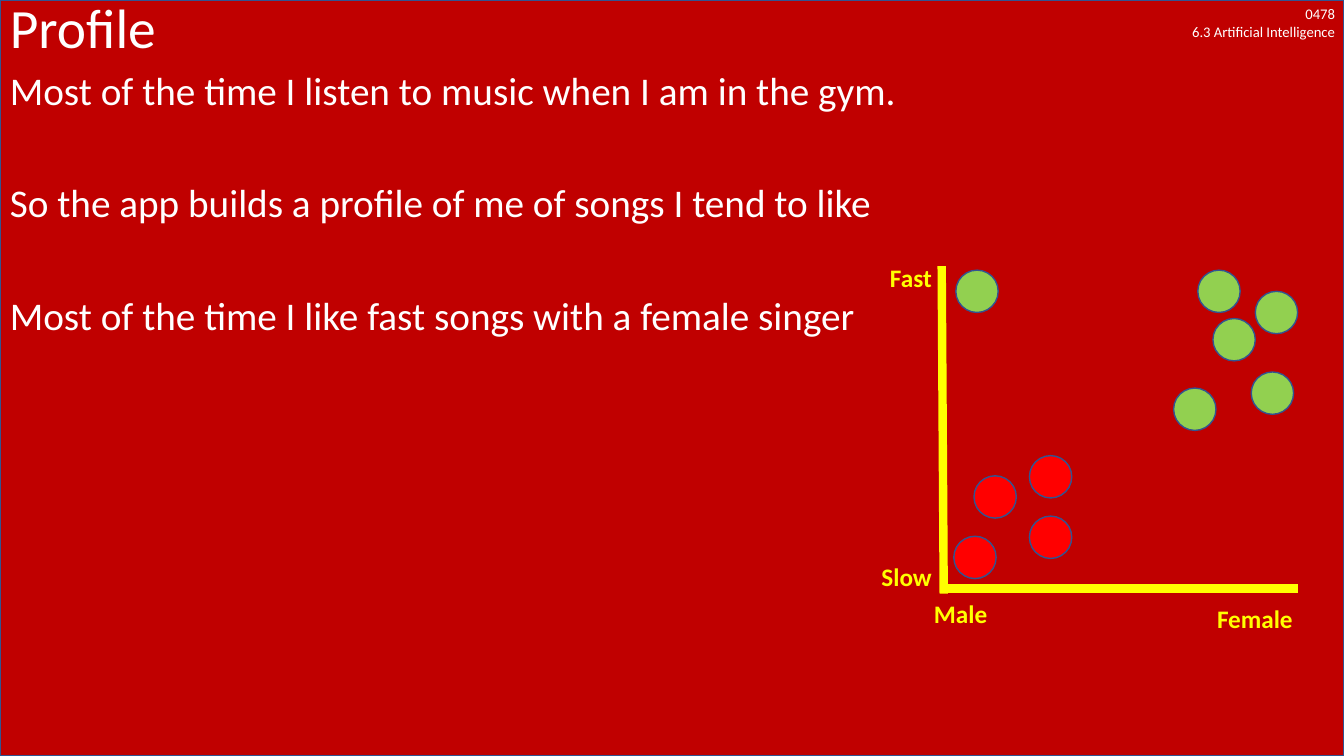
from lxml import etree
from pptx import Presentation
from pptx.dml.color import RGBColor
from pptx.enum.shapes import MSO_CONNECTOR as LINE, MSO_SHAPE as SHAPE
from pptx.enum.text import MSO_ANCHOR as ANCHOR, PP_ALIGN as ALIGN
from pptx.oxml.ns import qn
from pptx.util import Inches, Pt

DARK = RGBColor(0xC0, 0x00, 0x00)
EDGE = RGBColor(0x32, 0x54, 0x91)
WHITE = RGBColor(0xFF, 0xFF, 0xFF)
YELLOW = RGBColor(0xFF, 0xFF, 0x00)
GREEN = RGBColor(0x92, 0xD0, 0x50)
RED = RGBColor(0xFF, 0x00, 0x00)


def add_form(shapes, kind, x, y, w, h, fill):
    form = shapes.add_shape(kind, Inches(x), Inches(y), Inches(w), Inches(h))
    form.shadow.inherit = False
    form.fill.solid()
    form.fill.fore_color.rgb = fill
    form.line.color.rgb = EDGE
    form.line.width = Pt(1)


def add_text(shapes, text, x, y, w, h, size, color=WHITE, align=ALIGN.LEFT, bold=False):
    box = shapes.add_textbox(Inches(x), Inches(y), Inches(w), Inches(h))
    frame = box.text_frame
    frame.word_wrap = True
    frame.text = text
    for para in frame.paragraphs:
        para.alignment = align
        for run in para.runs:
            run.font.name = "Calibri"
            run.font.size = Pt(size)
            run.font.color.rgb = color
            run.font.bold = bold
    return frame


prs = Presentation()
prs.slide_width, prs.slide_height = Inches(13.33), Inches(7.5)
slide = prs.slides.add_slide(prs.slide_layouts[6])
shapes = slide.shapes

# Backdrop and course label
add_form(shapes, SHAPE.RECTANGLE, 0, 0, 13.33, 7.5, DARK)
add_text(shapes, "0478\v6.3 Artificial Intelligence", 10.86, 0, 2.48, 0.45, 10.5, align=ALIGN.RIGHT)

# Title
title = add_text(shapes, "Profile", 0, 0, 13.33, 0.61, 39.6)
title.vertical_anchor = ANCHOR.MIDDLE
title.paragraphs[0].line_spacing = 0.9

# Body
lines = [
    "Most of the time I listen to music when I am in the gym.",
    "So the app builds a profile of me of songs I tend to like",
    "Most of the time I like fast songs with a female singer",
]
body = add_text(shapes, "\n".join(lines), 0, 0.66, 13.33, 6.84, 28)
for i, para in enumerate(body.paragraphs):
    para.line_spacing = 0.9
    para.space_before = Pt(50 if i else 0)

# Axes of the song plot
plot = shapes.add_group_shape().shapes
for x1, y1, x2, y2 in [(9.34, 2.64, 9.36, 5.89), (12.87, 5.84, 9.36, 5.84)]:
    axis = plot.add_connector(LINE.STRAIGHT, Inches(x1), Inches(y1), Inches(x2), Inches(y2))
    axis.line.color.rgb = YELLOW
    axis.line.width = Pt(6)
    etree.SubElement(axis._element.spPr, qn("a:effectLst"))

# Axis labels
labels = [("Fast", 7.84, 2.55), ("Slow", 7.84, 5.52), ("Male", 8.39, 5.89), ("Female", 11.42, 5.94)]
for text, x, y in labels:
    add_text(plot, text, x, y, 1.5, 0.4, 18, YELLOW, ALIGN.RIGHT, True)

# Songs: liked in green, disliked in red
liked = [(12.45, 2.89), (11.88, 2.68), (12.03, 3.16), (11.64, 3.85), (9.48, 2.68), (12.41, 3.69)]
others = [(9.46, 5.32), (9.66, 4.72), (10.21, 5.12), (10.21, 4.52)]
for color, songs in [(GREEN, liked), (RED, others)]:
    for x, y in songs:
        add_form(plot, SHAPE.OVAL, x, y, 0.42, 0.42, color)

prs.save("out.pptx")
